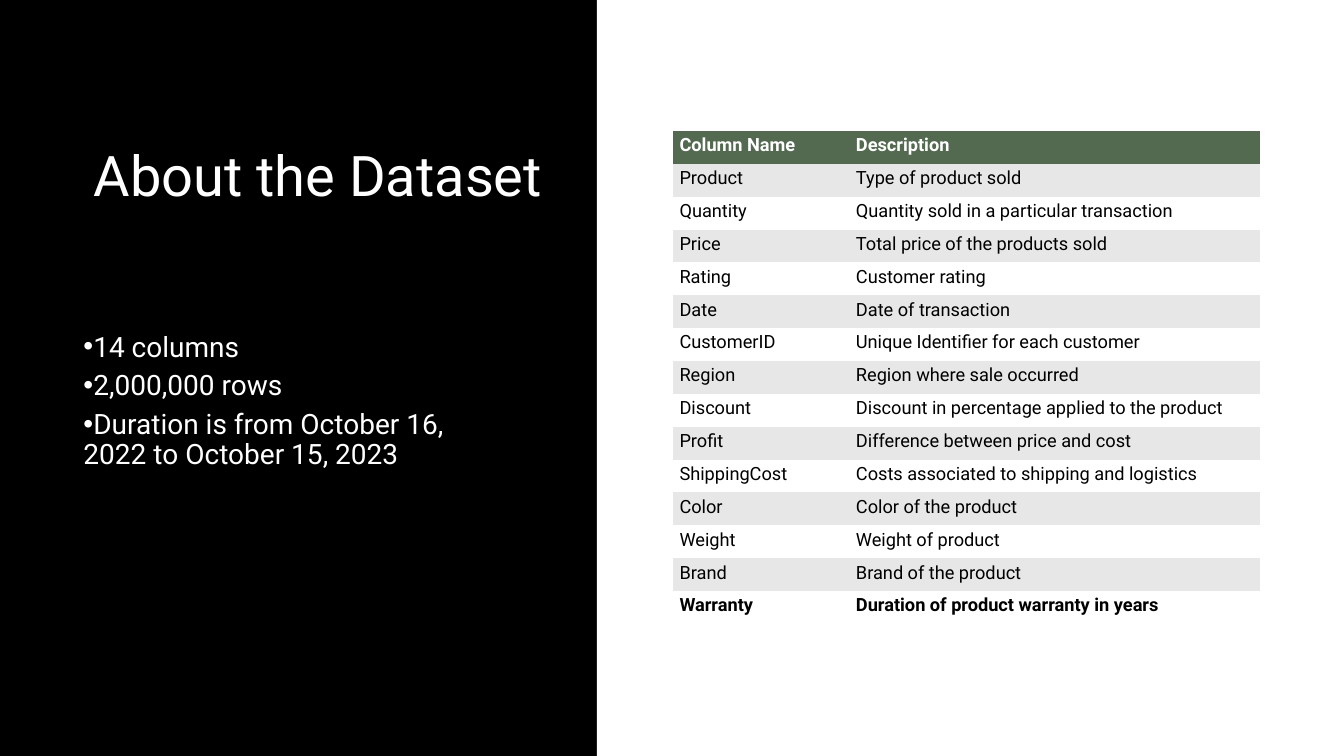
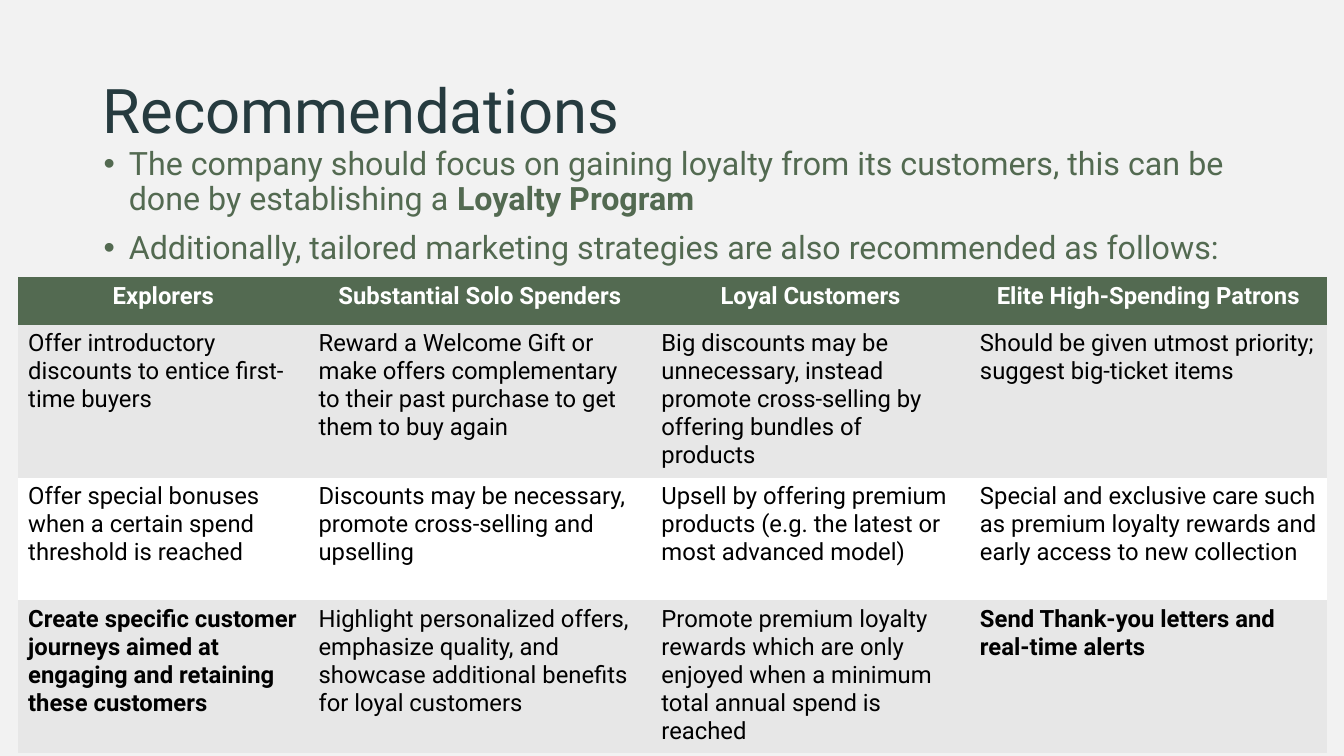
"""Build the dataset and recommendations slides."""
from dataclasses import dataclass

from lxml import etree
from pptx import Presentation
from pptx import util as u
from pptx.dml import color
from pptx.enum import shapes, text
from pptx.oxml import ns


@dataclass(frozen=True)
class Theme:
    """Colours, type sizes and font of the deck."""
    font: str = "Roboto"
    black: str = "000000"
    white: str = "FFFFFF"
    pale: str = "F2F2F2"
    band: str = "E7E7E7"
    green: str = "536A51"
    slate: str = "263B3F"
    head: int = 40
    large: int = 44
    list: int = 20
    body: int = 23
    small: int = 13
    cell: int = 17
    plain: str = "{2D5ABB26-0587-4C30-8999-92F81FD0307C}"


T = Theme()

FIELDS = [
    ("Column Name", "Description"),
    ("Product", "Type of product sold"),
    ("Quantity", "Quantity sold in a particular transaction"),
    ("Price", "Total price of the products sold"),
    ("Rating", "Customer rating"),
    ("Date", "Date of transaction"),
    ("CustomerID", "Unique Identifier for each customer"),
    ("Region", "Region where sale occurred"),
    ("Discount", "Discount in percentage applied to the product"),
    ("Profit", "Difference between price and cost"),
    ("ShippingCost", "Costs associated to shipping and logistics"),
    ("Color", "Color of the product"),
    ("Weight", "Weight of product"),
    ("Brand", "Brand of the product"),
    ("Warranty", "Duration of product warranty in years"),
]

PLANS = [
    ("Explorers", "Substantial Solo Spenders", "Loyal Customers",
     "Elite High-Spending Patrons"),
    ("Offer introductory discounts to entice first-time buyers",
     "Reward a Welcome Gift or make offers complementary to their past "
     "purchase to get them to buy again",
     "Big discounts may be unnecessary, instead promote cross-selling by "
     "offering bundles of products",
     "Should be given utmost priority; suggest big-ticket items"),
    ("Offer special bonuses when a certain spend threshold is reached",
     "Discounts may be necessary, promote cross-selling and upselling",
     "Upsell by offering premium products (e.g. the latest or most "
     "advanced model)",
     "Special and exclusive care such as premium loyalty rewards and early "
     "access to new collection"),
    ("Create specific customer journeys aimed at engaging and retaining "
     "these customers",
     "Highlight personalized offers, emphasize quality, and showcase "
     "additional benefits for loyal customers",
     "Promote premium loyalty rewards which are only enjoyed when a minimum "
     "total annual spend is reached",
     "Send Thank-you letters and real-time alerts"),
]


def rgb(code):
    """Turn a hex code into a colour."""
    return color.RGBColor.from_string(code)


def inch(box):
    """Turn a box of numbers into lengths."""
    return [u.Inches(n) for n in box]


def style(run, size, tint, bold=False):
    """Format one run."""
    run.font.name = T.font
    run.font.size = u.Pt(size)
    run.font.bold = bold
    run.font.color.rgb = rgb(tint)


def page(deck, tint):
    """Add a blank slide with a plain background."""
    slide = deck.slides.add_slide(deck.slide_layouts[6])
    slide.background.fill.solid()
    slide.background.fill.fore_color.rgb = rgb(tint)
    return slide


def write(slide, box, lines, size, tint, middle=True):
    """Add a text box of lines, each a list of runs whose second is bold."""
    frame = slide.shapes.add_textbox(*inch(box)).text_frame
    frame.word_wrap = True
    anchor = text.MSO_ANCHOR
    frame.vertical_anchor = anchor.MIDDLE if middle else anchor.TOP
    for i, line in enumerate(lines):
        para = frame.add_paragraph() if i else frame.paragraphs[0]
        para.line_spacing = 0.9
        for j, part in enumerate(line):
            run = para.add_run()
            run.text = part
            style(run, size, tint, j == 1)
    return frame.paragraphs


def bullet(paras, left, before=0, after=0):
    """Give paragraphs a hanging bullet and spacing."""
    for para in paras:
        para.space_before = u.Pt(before)
        para.space_after = u.Pt(after)
        props = para._p.get_or_add_pPr()
        props.set("marL", str(u.Inches(left)))
        props.set("indent", str(u.Inches(-0.25)))
        face = etree.SubElement(props, ns.qn("a:buFont"))
        face.set("typeface", "Arial")
        etree.SubElement(props, ns.qn("a:buChar")).set("char", "•")


def table(slide, box, rows, cols, highs, size, strong, pad, align):
    """Add a banded table; strong lists the bold columns of the last row."""
    frame = slide.shapes.add_table(len(rows), len(cols), *inch(box))
    frame.element.xpath(".//a:tableStyleId")[0].text = T.plain
    grid = frame.table
    for col, wide in zip(grid.columns, cols):
        col.width = u.Inches(wide)
    for r, (row, high) in enumerate(zip(rows, highs)):
        grid.rows[r].height = u.Inches(high)
        fill = T.green if r == 0 else T.band if r % 2 else T.white
        for c, words in enumerate(row):
            cell = grid.cell(r, c)
            cell.margin_left = cell.margin_right = u.Inches(pad[0])
            cell.margin_top = cell.margin_bottom = u.Inches(pad[1])
            cell.fill.solid()
            cell.fill.fore_color.rgb = rgb(fill)
            cell.text_frame.text = words
            para = cell.text_frame.paragraphs[0]
            if r == 0:
                para.alignment = align
            bold = r == 0 or (r == len(rows) - 1 and c in strong)
            style(para.runs[0], size, T.black if r else T.white, bold)


def panel(slide, box):
    """Add the white panel behind the table."""
    shape = slide.shapes.add_shape(shapes.MSO_SHAPE.RECTANGLE, *inch(box))
    shape.shadow.inherit = False
    shape.fill.solid()
    shape.fill.fore_color.rgb = rgb(T.white)
    shape.line.fill.background()


def dataset(deck):
    """Build the slide on the dataset."""
    slide = page(deck, T.black)
    write(slide, (0.83, 0.83, 5.08, 1.87), [["About the Dataset"]],
          T.head, T.white)
    facts = [["14 columns"], ["2,000,000 rows"],
             ["Duration is from October 16, 2022 to October 15, 2023"]]
    bullet(write(slide, (0.73, 2.54, 4.46, 2.89), facts, T.list, T.white),
           0, after=6)
    panel(slide, (5.92, 0, 7.42, 7.5))
    high = 4.89 / len(FIELDS)
    table(slide, (6.67, 1.3, 5.83, 4.89), FIELDS, (1.75, 4.08),
          [high] * len(FIELDS), T.small, (0, 1), (0.07, 0.04),
          text.PP_ALIGN.LEFT)


def advice(deck):
    """Build the slide of recommendations."""
    slide = page(deck, T.pale)
    write(slide, (0.92, 0.4, 11.5, 1.45), [["Recommendations"]],
          T.large, T.slate)
    points = [["The company should focus on gaining loyalty from its "
               "customers, this can be done by establishing a ",
               "Loyalty Program"],
              ["Additionally, tailored marketing strategies are also "
               "recommended as follows:"]]
    bullet(write(slide, (0.93, 1.42, 11.5, 2.02), points, T.body, T.green,
                 False), 0.25, before=10)
    table(slide, (0.18, 2.75, 12.98, 4.67), PLANS, (2.88, 3.4, 3.16, 3.54),
          (0.47, 1.49, 1.22, 1.49), T.cell, (0, 3), (0.1, 0.05),
          text.PP_ALIGN.CENTER)


def main():
    """Build and save the deck."""
    deck = Presentation()
    deck.slide_width, deck.slide_height = inch((13.33, 7.5))
    dataset(deck)
    advice(deck)
    deck.save("out.pptx")


if __name__ == "__main__":
    main()
